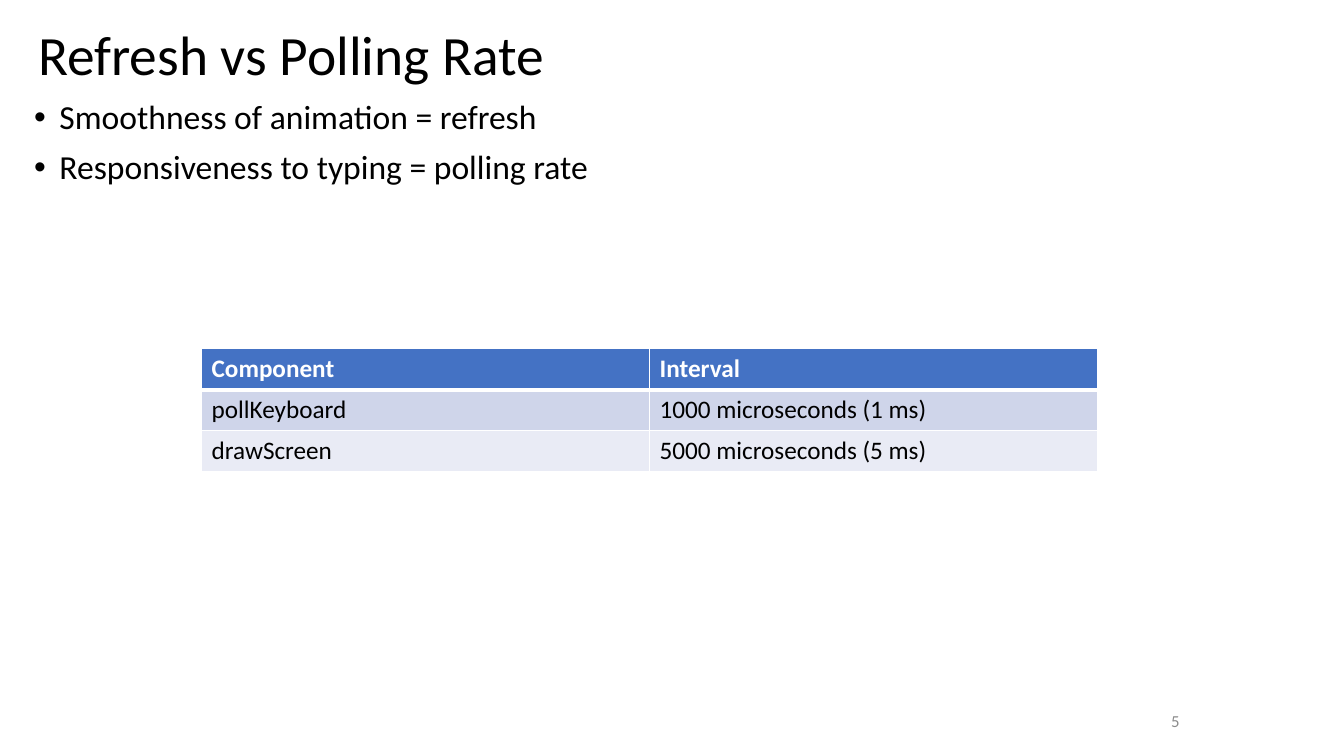
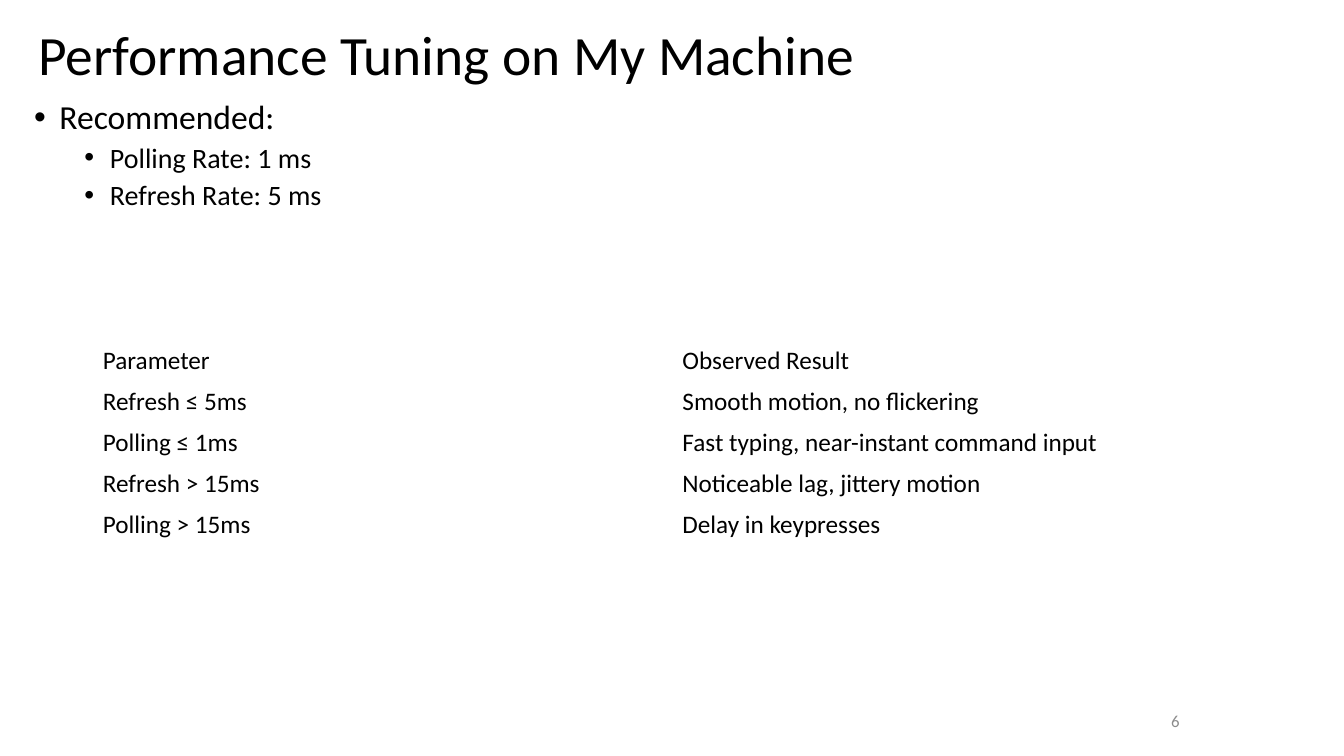
from dataclasses import dataclass

from lxml import etree
from pptx import Presentation
from pptx.dml.color import RGBColor
from pptx.enum.text import MSO_ANCHOR, MSO_AUTO_SIZE, PP_ALIGN
from pptx.oxml.ns import qn
from pptx.util import Cm, Pt

FONT = "Calibri"
BLACK = RGBColor(0x00, 0x00, 0x00)
WHITE = RGBColor(0xFF, 0xFF, 0xFF)
GRAY = RGBColor(0x8C, 0x8C, 0x8C)
HEADER_BLUE = RGBColor(0x44, 0x72, 0xC4)
BANDS = (RGBColor(0xCF, 0xD5, 0xEA), RGBColor(0xE9, 0xEB, 0xF5))

LEFT, RIGHT = PP_ALIGN.LEFT, PP_ALIGN.RIGHT
TOP, MIDDLE = MSO_ANCHOR.TOP, MSO_ANCHOR.MIDDLE
NO_AUTOFIT = MSO_AUTO_SIZE.NONE

TITLE_ONLY_LAYOUT = 5
FIRST_NUMBER = 5
ROW_HEIGHT = Cm(1.03)
BULLET_HANGING = Cm(0.64)
LEVEL_INDENT = Cm(1.27)
BULLET_SIZES = (24, 20)
BULLET_SPACING = (10, 5)


@dataclass(frozen=True)
class Bullet:
    """A bulleted line and its outline level."""
    text: str
    level: int = 0


@dataclass(frozen=True)
class TableContent:
    """A table's place, rows and look."""
    left: Cm
    top: Cm
    width: Cm
    rows: tuple[tuple[str, ...], ...]
    banded: bool


@dataclass(frozen=True)
class SlideContent:
    """Everything that differs between slides."""
    title: str
    bullets: tuple[Bullet, ...]
    table: TableContent


SLIDES = (
    SlideContent(
        "Refresh vs Polling Rate",
        (
            Bullet("Smoothness of animation = refresh"),
            Bullet("Responsiveness to typing = polling rate"),
        ),
        TableContent(
            Cm(5.08), Cm(8.79), Cm(22.58),
            (
                ("Component", "Interval"),
                ("pollKeyboard", "1000 microseconds (1 ms)"),
                ("drawScreen", "5000 microseconds (5 ms)"),
            ),
            banded=True,
        ),
    ),
    SlideContent(
        "Performance Tuning on My Machine",
        (
            Bullet("Recommended:"),
            Bullet("Polling Rate: 1 ms", 1),
            Bullet("Refresh Rate: 5 ms", 1),
        ),
        TableContent(
            Cm(2.34), Cm(8.59), Cm(29.21),
            (
                ("Parameter", "Observed Result"),
                ("Refresh ≤ 5ms", "Smooth motion, no flickering"),
                ("Polling ≤ 1ms", "Fast typing, near-instant command input"),
                ("Refresh > 15ms", "Noticeable lag, jittery motion"),
                ("Polling > 15ms", "Delay in keypresses"),
            ),
            banded=False,
        ),
    ),
)


def format_paragraph(paragraph, size: float, color: RGBColor = BLACK,
                     alignment=LEFT, bold: bool = False) -> None:
    """Set a paragraph's font and alignment."""
    paragraph.alignment = alignment
    paragraph.font.name = FONT
    paragraph.font.size = Pt(size)
    paragraph.font.bold = bold
    paragraph.font.color.rgb = color


def prepare_frame(shape, anchor):
    """Make a shape's text wrap at a fixed size and return its frame."""
    frame = shape.text_frame
    frame.word_wrap = True
    frame.auto_size = NO_AUTOFIT
    frame.vertical_anchor = anchor
    return frame


def add_title(slide, text: str) -> None:
    """Place and format the title placeholder."""
    title = slide.shapes.title
    title.left, title.top = Cm(0.71), Cm(0.48)
    title.width, title.height = Cm(29.57), Cm(1.93)
    frame = prepare_frame(title, MIDDLE)
    frame.text = text
    paragraph = frame.paragraphs[0]
    paragraph.line_spacing = 0.9
    format_paragraph(paragraph, 39.6)


def add_bullets(slide, bullets: tuple[Bullet, ...]) -> None:
    """Write the bulleted lines below the title."""
    box = slide.shapes.add_textbox(Cm(0.61), Cm(2.41), Cm(32.54), Cm(14.27))
    frame = prepare_frame(box, TOP)
    for index, bullet in enumerate(bullets):
        paragraph = frame.add_paragraph() if index else frame.paragraphs[0]
        paragraph.text = bullet.text
        paragraph.level = bullet.level
        paragraph.line_spacing = 0.9
        paragraph.space_before = Pt(BULLET_SPACING[bullet.level])
        format_paragraph(paragraph, BULLET_SIZES[bullet.level])
        properties = paragraph._p.get_or_add_pPr()
        properties.set("marL", str(BULLET_HANGING + bullet.level * LEVEL_INDENT))
        properties.set("indent", str(-BULLET_HANGING))
        bullet_font = etree.Element(qn("a:buFont"), typeface="Arial")
        bullet_mark = etree.Element(qn("a:buChar"), char="•")
        properties.find(qn("a:defRPr")).addprevious(bullet_font)
        bullet_font.addnext(bullet_mark)


def add_slide_number(slide, number: int) -> None:
    """Write the slide number at the bottom right."""
    box = slide.shapes.add_textbox(Cm(23.93), Cm(17.65), Cm(6.05), Cm(1.02))
    frame = prepare_frame(box, MIDDLE)
    frame.text = str(number)
    format_paragraph(frame.paragraphs[0], 12, GRAY, RIGHT)


def set_borders(cell, top: float, bottom: float) -> None:
    """Give a cell white borders, with top and bottom widths in points."""
    properties = cell._tc.get_or_add_tcPr()
    for edge, width in (("L", 1), ("R", 1), ("T", top), ("B", bottom)):
        line = etree.SubElement(properties, qn(f"a:ln{edge}"), w=str(Pt(width)))
        fill = etree.SubElement(line, qn("a:solidFill"))
        etree.SubElement(fill, qn("a:srgbClr"), val=str(WHITE))


def format_banded_cell(cell, row: int) -> None:
    """Fill and border a cell as part of a header or a band."""
    set_borders(cell, top=3 if row == 1 else 1, bottom=3 if row == 0 else 1)
    cell.fill.solid()
    cell.fill.fore_color.rgb = BANDS[(row - 1) % 2] if row else HEADER_BLUE


def add_table(slide, content: TableContent) -> None:
    """Draw a table with equal columns and rows."""
    row_count, column_count = len(content.rows), len(content.rows[0])
    table = slide.shapes.add_table(
        row_count, column_count, content.left, content.top,
        content.width, ROW_HEIGHT * row_count).table
    table.first_row = content.banded
    table.horz_banding = content.banded
    for row, texts in enumerate(content.rows):
        table.rows[row].height = ROW_HEIGHT
        for column, text in enumerate(texts):
            cell = table.cell(row, column)
            cell.text = text
            header = content.banded and row == 0
            format_paragraph(cell.text_frame.paragraphs[0], 18,
                             WHITE if header else BLACK, bold=header)
            if content.banded:
                format_banded_cell(cell, row)
            else:
                cell.vertical_anchor = MIDDLE
                cell.fill.background()


def main() -> None:
    """Build and save the presentation."""
    presentation = Presentation()
    presentation.slide_width, presentation.slide_height = Cm(33.87), Cm(19.05)
    layout = presentation.slide_layouts[TITLE_ONLY_LAYOUT]
    for number, content in enumerate(SLIDES, FIRST_NUMBER):
        slide = presentation.slides.add_slide(layout)
        add_title(slide, content.title)
        add_bullets(slide, content.bullets)
        add_slide_number(slide, number)
        add_table(slide, content.table)
    presentation.save("out.pptx")


if __name__ == "__main__":
    main()
